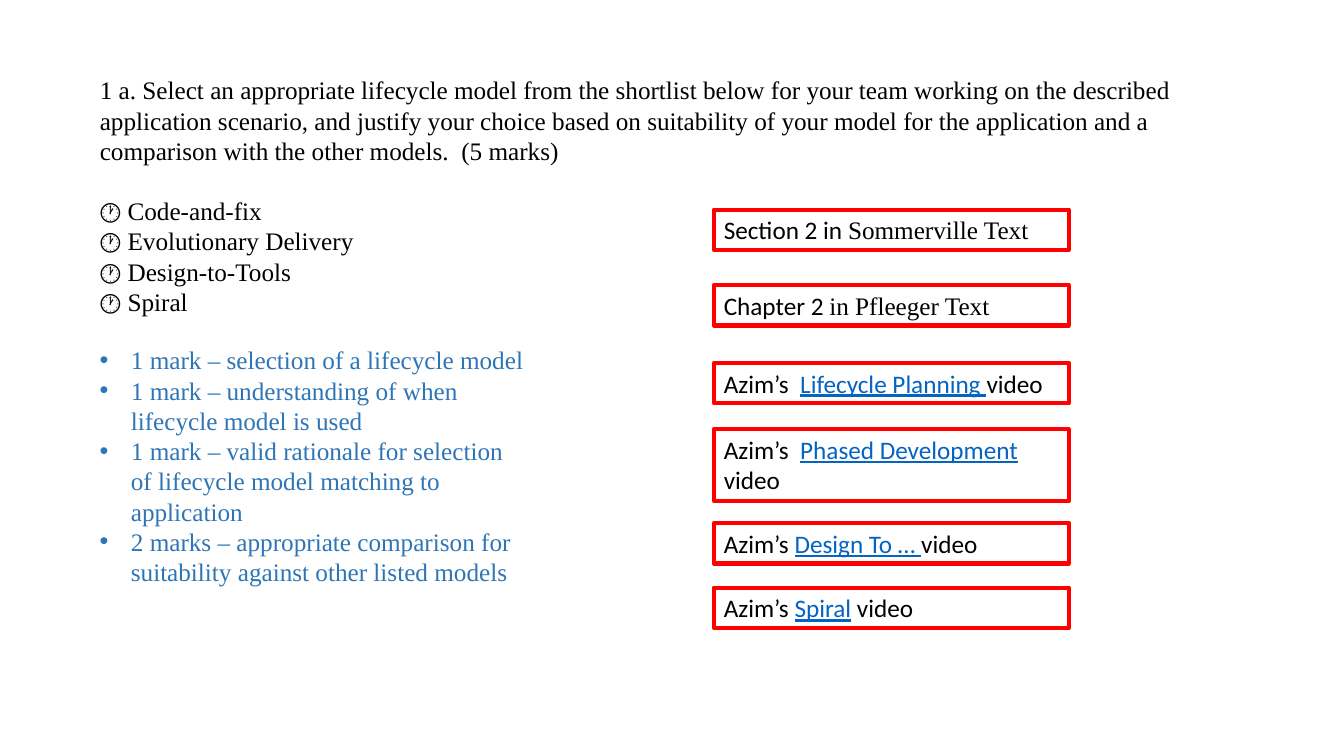
from dataclasses import dataclass

from lxml.etree import SubElement
from pptx import Presentation
from pptx.dml.color import RGBColor
from pptx.enum.shapes import MSO_SHAPE as Preset
from pptx.enum.text import MSO_ANCHOR as Anchor, MSO_AUTO_SIZE as AutoSize, PP_ALIGN as Align
from pptx.oxml.ns import qn
from pptx.util import Inches, Pt


@dataclass(frozen=True)
class Theme:
    text: RGBColor = RGBColor(0x00, 0x00, 0x00)
    marks: RGBColor = RGBColor(0x2E, 0x75, 0xB6)
    link: RGBColor = RGBColor(0x05, 0x63, 0xC1)
    frame: RGBColor = RGBColor(0xFF, 0x00, 0x00)
    serif: str = "Times New Roman"
    sans: str = "Calibri"
    size: Pt = Pt(18)
    frame_width: Pt = Pt(3)


THEME = Theme()
LEFT = 0.89
QUESTION_BOX = (LEFT, 0.69, 11.54, 1.0)
OPTIONS_BOX = (LEFT, 1.89, 5.0, 1.31)
MARKS_BOX = (LEFT, 3.37, 4.43, 2.52)
RESOURCE_LEFT, RESOURCE_WIDTH = 7.08, 3.52
ONE_LINE, TWO_LINES = 0.4, 0.71

QUESTION = (
    "1 a. Select an appropriate lifecycle model from the shortlist below for your team "
    "working on the described application scenario, and justify your choice based on "
    "suitability of your model for the application and a comparison with the other "
    "models.  (5 marks)"
)
OPTIONS = ["Code-and-fix", "Evolutionary Delivery", "Design-to-Tools", "Spiral"]
MARKS = [
    "1 mark – selection of a lifecycle model",
    "1 mark – understanding of when lifecycle model is used",
    "1 mark – valid rationale for selection of lifecycle model matching to application",
    "2 marks – appropriate comparison for suitability against other listed models",
]
READINGS = [
    (2.08, "Section 2 in ", "Sommerville Text"),
    (2.83, "Chapter 2 ", "in Pfleeger Text"),
]
VIDEOS = [
    (3.6, ONE_LINE, "Azim’s  ", "Lifecycle Planning ", "video"),
    (4.26, TWO_LINES, "Azim’s  ", "Phased Development ", "video"),
    (5.19, ONE_LINE, "Azim’s ", "Design To … ", "video"),
    (5.83, ONE_LINE, "Azim’s ", "Spiral", " video"),
]


def set_font(font, name, color):
    font.name = name
    font.size = THEME.size
    font.color.rgb = color


def prepare_frame(shape):
    frame = shape.text_frame
    frame.word_wrap = True
    frame.auto_size = AutoSize.NONE
    frame.vertical_anchor = Anchor.TOP
    return frame


def add_bullet(paragraph):
    properties = paragraph._p.get_or_add_pPr()
    properties.set("marL", str(Inches(0.31)))
    properties.set("indent", str(-Inches(0.31)))
    SubElement(properties, qn("a:buFont")).set("typeface", "Arial")
    SubElement(properties, qn("a:buChar")).set("char", "•")


def add_question(slide, box):
    title = slide.shapes.title
    title.left, title.top, title.width, title.height = map(Inches, box)
    frame = prepare_frame(title)
    frame.text = QUESTION
    paragraph = frame.paragraphs[0]
    paragraph.alignment = Align.LEFT
    set_font(paragraph.font, THEME.serif, THEME.text)


def add_list(slide, box, lines, color, bulleted=False):
    frame = prepare_frame(slide.shapes.add_textbox(*map(Inches, box)))
    frame.text = "\n".join(lines)
    for paragraph in frame.paragraphs:
        if bulleted:
            add_bullet(paragraph)
        set_font(paragraph.font, THEME.serif, color)


def add_resource(slide, box, texts):
    shape = slide.shapes.add_shape(Preset.RECTANGLE, *map(Inches, box))
    shape.shadow.inherit = False
    shape.fill.background()
    shape.line.color.rgb = THEME.frame
    shape.line.width = THEME.frame_width
    paragraph = prepare_frame(shape).paragraphs[0]
    paragraph.alignment = Align.LEFT
    set_font(paragraph.font, THEME.sans, THEME.text)
    runs = []
    for text in texts:
        run = paragraph.add_run()
        run.text = text
        set_font(run.font, THEME.sans, THEME.text)
        runs.append(run)
    return runs


def add_resources(slide, left, width):
    for top, place, book in READINGS:
        runs = add_resource(slide, (left, top, width, ONE_LINE), (place, book))
        runs[1].font.name = THEME.serif
    for top, height, *texts in VIDEOS:
        runs = add_resource(slide, (left, top, width, height), texts)
        runs[1].font.color.rgb = THEME.link
        runs[1].font.underline = True


def main():
    presentation = Presentation()
    presentation.slide_width = Inches(13.33)
    presentation.slide_height = Inches(7.5)
    slide = presentation.slides.add_slide(presentation.slide_layouts.get_by_name("Title Only"))
    add_question(slide, QUESTION_BOX)
    add_list(slide, OPTIONS_BOX, [f"🕐 {option}" for option in OPTIONS], THEME.text)
    add_list(slide, MARKS_BOX, MARKS, THEME.marks, bulleted=True)
    add_resources(slide, RESOURCE_LEFT, RESOURCE_WIDTH)
    presentation.save("out.pptx")


if __name__ == "__main__":
    main()
